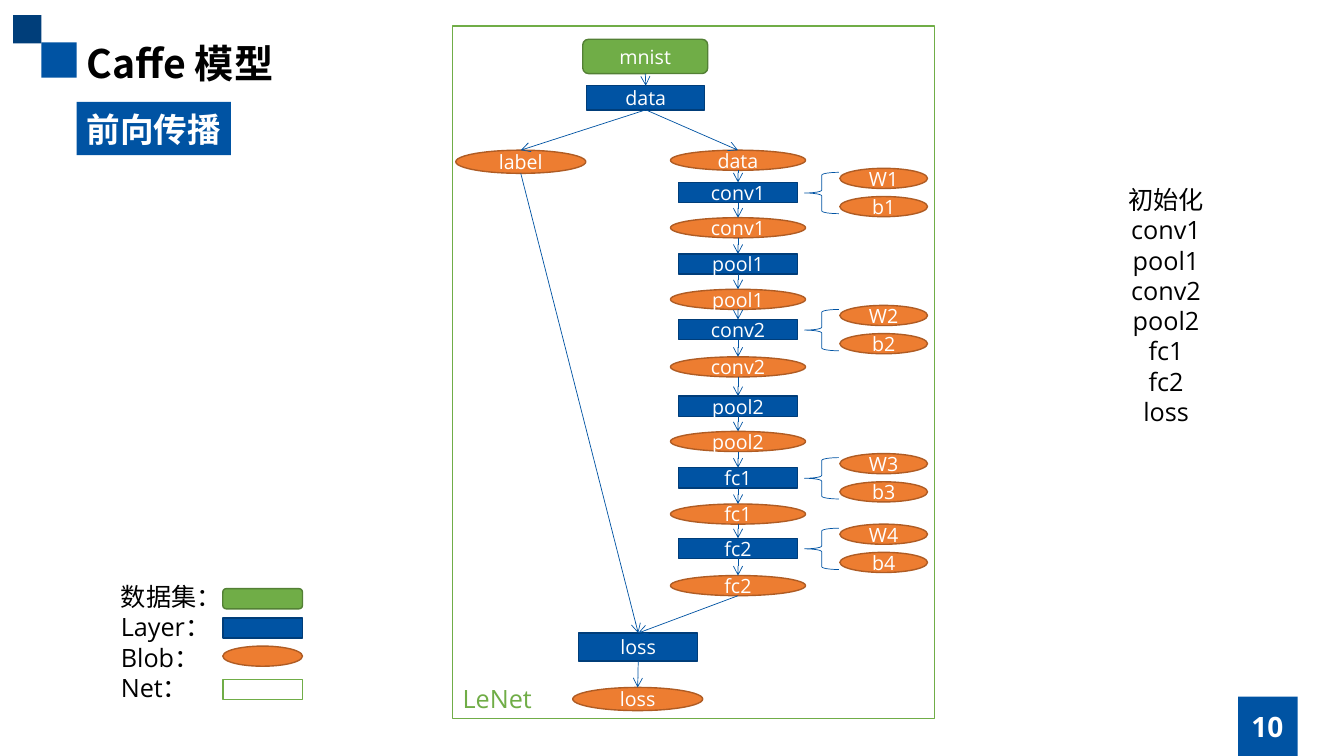
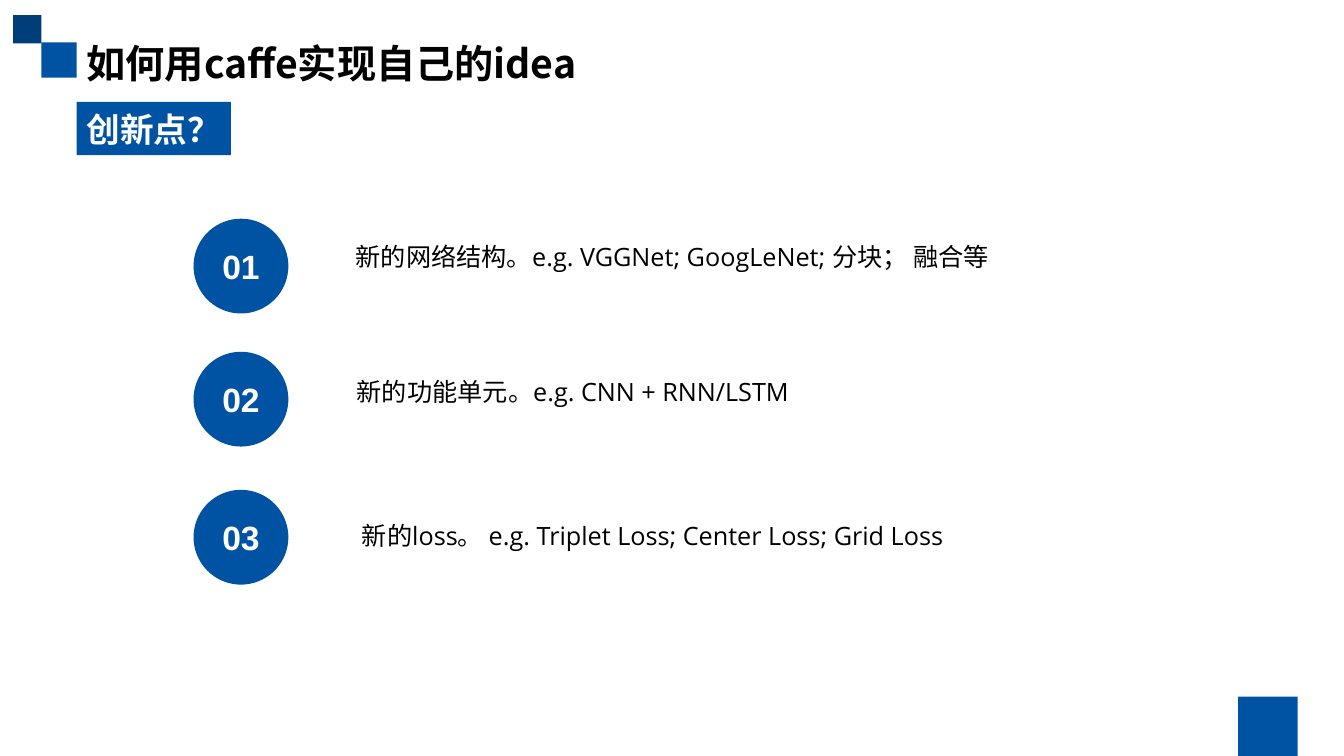
from lxml.etree import SubElement
from pptx import Presentation
from pptx.dml.color import RGBColor
from pptx.enum.shapes import MSO_CONNECTOR, MSO_SHAPE
from pptx.enum.text import MSO_ANCHOR, PP_ALIGN
from pptx.oxml.ns import qn
from pptx.util import Emu, Pt

HUES = {"blue": "0053A3", "navy": "003E7A", "edge": "003D79", "green": "70AD47",
        "moss": "538035", "orange": "ED7D31", "rust": "AF5C24",
        "white": "FFFFFF", "black": "000000"}
SANS, HAN, ARIAL = "Open Sans", "Noto Sans CJK SC", "Arial"
KINDS = {"set": (MSO_SHAPE.ROUNDED_RECTANGLE, "green", "moss"),
         "layer": (MSO_SHAPE.RECTANGLE, "blue", "edge"),
         "blob": (MSO_SHAPE.OVAL, "orange", "rust"),
         "net": (MSO_SHAPE.RECTANGLE, "white", "green")}


def px(n):
    return Emu(n * 9144)


def hue(name):
    return RGBColor.from_string(HUES[name])


class Deck:
    def __init__(self):
        self.prs = Presentation()
        self.prs.slide_width, self.prs.slide_height = px(1333), px(750)

    def page(self, title, width, tag):
        self.slide = self.prs.slides.add_slide(self.prs.slide_layouts[5])
        self.shape(MSO_SHAPE.RECTANGLE, (41, 42, 35, 35), "blue")
        self.shape(MSO_SHAPE.RECTANGLE, (13, 15, 28, 28), "navy")
        self.shape(MSO_SHAPE.RECTANGLE, (1228, 691, 59, 59), "blue")
        head = self.slide.shapes.title
        head.left, head.top, head.width, head.height = map(px, (76, 31, width, 60))
        self.fill(head, [title], 28, "black", HAN, bold=True, lead=1.28)
        band = self.shape(MSO_SHAPE.RECTANGLE, (76, 101, 153, 53), "blue")
        self.fill(band, [tag], 24, "white", bold=True, lead=1.28)
        band.text_frame.word_wrap = False

    def shape(self, form, box, fill=None, line=None, weight=1):
        item = self.slide.shapes.add_shape(form, *map(px, box))
        item.shadow.inherit = False
        if fill:
            item.fill.solid()
            item.fill.fore_color.rgb = hue(fill)
        else:
            item.fill.background()
        if line:
            item.line.color.rgb = hue(line)
            item.line.width = Pt(weight)
        else:
            item.line.fill.background()
        return item

    def fill(self, item, lines, size, color, font=SANS, bold=False,
             mid=False, anchor=MSO_ANCHOR.TOP, lead=1.2):
        frame = item.text_frame
        frame.word_wrap = True
        frame.vertical_anchor = anchor
        for i, line in enumerate(lines):
            para = frame.add_paragraph() if i else frame.paragraphs[0]
            para.alignment = PP_ALIGN.CENTER if mid else PP_ALIGN.LEFT
            para.line_spacing = Pt(round(size * lead, 1))
            run = para.add_run()
            run.text = line
            run.font.size, run.font.bold = Pt(size), bold
            run.font.color.rgb = hue(color)
            run.font.name = font
            SubElement(run.font._element, qn("a:ea")).set("typeface", HAN)

    def text(self, box, lines, size=18, color="black", **style):
        item = self.slide.shapes.add_textbox(*map(px, box))
        self.fill(item, lines, size, color, **style)

    def node(self, kind, box, label=None):
        item = self.shape(KINDS[kind][0], box, *KINDS[kind][1:])
        if label:
            self.fill(item, [label], 14, "white", mid=True, anchor=MSO_ANCHOR.MIDDLE)
            frame = item.text_frame
            frame.margin_top = frame.margin_bottom = 0
        return item

    def disc(self, box, label):
        item = self.shape(MSO_SHAPE.OVAL, box, "blue")
        self.fill(item, [label], 24, "white", ARIAL, bold=True, mid=True,
                  anchor=MSO_ANCHOR.MIDDLE)

    def arrow(self, start, end):
        wire = self.slide.shapes.add_connector(
            MSO_CONNECTOR.STRAIGHT,
            start.left + start.width // 2, start.top + start.height,
            end.left + end.width // 2, end.top)
        if start.auto_shape_type != MSO_SHAPE.OVAL:
            wire.begin_connect(start, 2)
        wire.end_connect(end, 0)
        wire.line.color.rgb = hue("blue")
        wire.line.width = Pt(0.5)
        props = wire._element.spPr
        SubElement(props.get_or_add_ln(), qn("a:tailEnd")).set("type", "arrow")
        SubElement(props, qn("a:effectLst"))

    def pair(self, top, index):
        self.node("blob", (833, top, 87, 20), f"W{index}")
        self.node("blob", (833, top + 28, 87, 20), f"b{index}")
        self.shape(MSO_SHAPE.LEFT_BRACE, (798, top + 4, 34, 41), None, "blue", 0.5)


def model(deck):
    deck.page("Caffe 模型", 591, "前向传播")
    deck.text((1181, 701, 152, 40), ["10"], 20, "white", bold=True, mid=True,
              anchor=MSO_ANCHOR.MIDDLE)
    deck.node("net", (449, 26, 478, 687))
    deck.text((449, 673, 103, 40), ["LeNet"], color="green")

    mnist = deck.node("set", (578, 39, 124, 34), "mnist")
    data = deck.node("layer", (582, 85, 117, 24), "data")
    label = deck.node("blob", (452, 149, 129, 23), "label")
    loss = deck.node("layer", (574, 628, 118, 28), "loss")
    out = deck.node("blob", (568, 682, 129, 23), "loss")

    last = deck.node("blob", (665, 149, 134, 20), "data")
    links = [(mnist, data), (data, label), (data, last), (label, loss), (loss, out)]
    stages = [("conv1", 181, 216), ("pool1", 252, 287), ("conv2", 317, 354),
              ("pool2", 393, 428), ("fc1", 464, 500), ("fc2", 534, 571)]
    index = 0
    for name, top, low in stages:
        layer = deck.node("layer", (673, top, 118, 20), name)
        blob = deck.node("blob", (665, low, 134, 20), name)
        links += [(last, layer), (layer, blob)]
        last = blob
        if not name.startswith("pool"):
            index += 1
            deck.pair(top - 14, index)
    links.append((last, loss))
    for start, end in links:
        deck.arrow(start, end)

    deck.text((110, 572, 208, 132), ["数据集：", "Layer：", "Blob：", "Net："])
    for kind, top in zip(KINDS, (584, 613, 641, 674)):
        deck.node(kind, (221, top, 79, 20))
    names = [name for name, *_ in stages]
    deck.text((1049, 178, 215, 252), ["初始化", *names, "loss"], mid=True)


def ideas(deck):
    deck.page("如何用caffe实现自己的idea", 1181, "创新点？")
    rows = [(217, 343, 233, 745, "新的网络结构。e.g. VGGNet; GoogLeNet; 分块； 融合等"),
            (349, 344, 366, 629, "新的功能单元。e.g. CNN + RNN/LSTM"),
            (486, 349, 509, 731, "新的loss。 e.g. Triplet Loss; Center Loss; Grid Loss")]
    for i, (top, left, high, width, line) in enumerate(rows, 1):
        deck.disc((192, top, 94, 94), f"{i:02}")
        deck.text((left, high, width, 42), [line], lead=1.28)


def main():
    deck = Deck()
    model(deck)
    ideas(deck)
    deck.prs.save("out.pptx")


if __name__ == "__main__":
    main()
